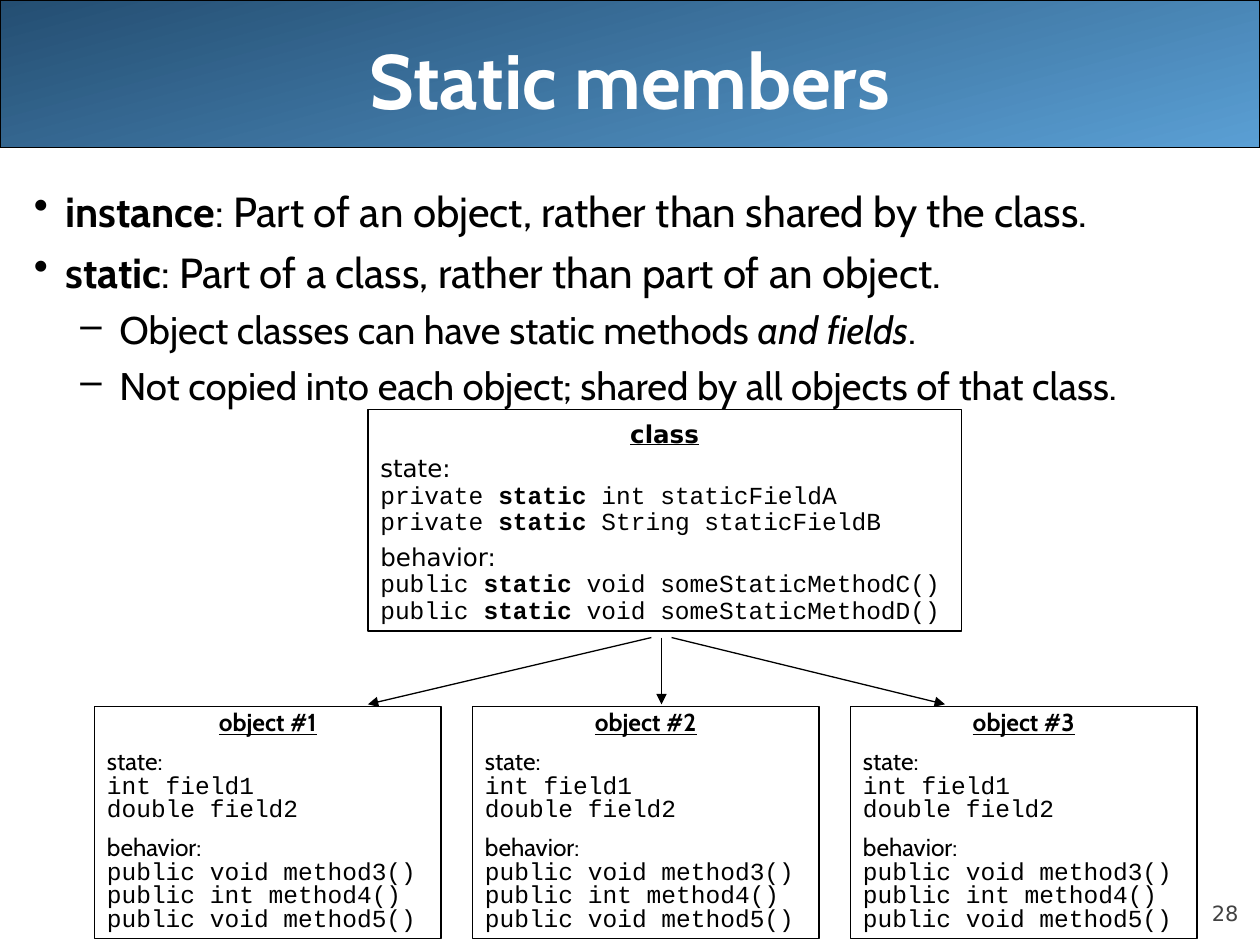
from lxml import etree
from pptx import Presentation
from pptx.dml.color import RGBColor
from pptx.enum.shapes import MSO_CONNECTOR, MSO_SHAPE
from pptx.enum.text import MSO_ANCHOR, MSO_AUTO_SIZE, PP_ALIGN
from pptx.oxml.ns import qn
from pptx.util import Inches, Pt

BLACK = RGBColor(0x00, 0x00, 0x00)
WHITE = RGBColor(0xFF, 0xFF, 0xFF)
GRAY = RGBColor(0x42, 0x42, 0x42)
LIGHT_BLUE = RGBColor(0x5A, 0x9F, 0xD4)
DARK_BLUE = RGBColor(0x24, 0x4E, 0x72)
STRAIGHT = MSO_CONNECTOR.STRAIGHT
RECTANGLE = MSO_SHAPE.RECTANGLE
ROUNDED_RECTANGLE = MSO_SHAPE.ROUNDED_RECTANGLE
MIDDLE, BOTTOM, TOP = MSO_ANCHOR.MIDDLE, MSO_ANCHOR.BOTTOM, MSO_ANCHOR.TOP
FIT_SHAPE = MSO_AUTO_SIZE.SHAPE_TO_FIT_TEXT
LEFT, CENTER, RIGHT = PP_ALIGN.LEFT, PP_ALIGN.CENTER, PP_ALIGN.RIGHT

BOLD = {"bold": True}
ITALIC = {"italic": True}
HEADING = {"bold": True, "underline": True}
CODE = {"name": "Courier New"}
BOLD_CODE = CODE | BOLD


def add_paragraph(frame, runs, font, layout):
    paragraph = frame.paragraphs[0]
    if paragraph.runs:
        paragraph = frame.add_paragraph()
    for name, value in layout.items():
        setattr(paragraph, name, value)
    for text, changes in runs:
        for index, line in enumerate(text.split("\n")):
            if index:
                paragraph.add_line_break()
            if not line:
                continue
            run = paragraph.add_run()
            run.text = line
            run.font.color.rgb = font["color"]
            for name, value in (font | changes).items():
                if name != "color":
                    setattr(run.font, name, value)
    return paragraph


def add_box(left, top, width, height):
    shape = slide.shapes.add_shape(
        RECTANGLE, Inches(left), Inches(top), Inches(width), Inches(height)
    )
    shape.shadow.inherit = False
    shape.fill.solid()
    shape.fill.fore_color.rgb = WHITE
    shape.line.color.rgb = BLACK
    shape.line.width = Pt(0.75)
    frame = shape.text_frame
    frame.word_wrap = True
    frame.auto_size = FIT_SHAPE
    frame.vertical_anchor = TOP
    return frame


presentation = Presentation()
presentation.slide_width = Inches(10)
presentation.slide_height = Inches(7.5)
slide = presentation.slides.add_slide(presentation.slide_layouts[6])

banner = slide.shapes.add_shape(ROUNDED_RECTANGLE, 0, 0, Inches(10), Inches(1.17))
banner.adjustments[0] = 0
banner.shadow.inherit = False
banner.fill.gradient()
banner.fill.gradient_angle = 105
for stop, color in zip(banner.fill.gradient_stops, (LIGHT_BLUE, DARK_BLUE)):
    stop.color.rgb = color
banner.line.color.rgb = BLACK
banner.line.width = Pt(0.75)

number_box = slide.shapes.add_textbox(Inches(9), Inches(6.95), Inches(0.83), Inches(0.4))
number_frame = number_box.text_frame
number_format = {
    "word_wrap": True, "vertical_anchor": BOTTOM,
    "margin_left": 0, "margin_top": 0, "margin_right": 0, "margin_bottom": 0,
}
for name, value in number_format.items():
    setattr(number_frame, name, value)
number_font = {"name": "DejaVu Sans", "size": Pt(12), "color": GRAY}
add_paragraph(number_frame, [("28", {})], number_font, {"alignment": RIGHT})

title_box = slide.shapes.add_textbox(Inches(0.5), 0, Inches(9), Inches(1.25))
title_box.text_frame.word_wrap = True
title_box.text_frame.vertical_anchor = MIDDLE
title_font = {"name": "Cabin", "size": Pt(44), "color": WHITE}
add_paragraph(title_box.text_frame, [("Static members", BOLD)], title_font, {"alignment": CENTER})

body_box = slide.shapes.add_textbox(Inches(0.17), Inches(1.42), Inches(9.83), Inches(5.67))
body_box.text_frame.word_wrap = True
levels = [
    {"bullet": "•", "size": 24, "before": 6, "margin": 0.25, "indent": -0.25},
    {"bullet": "–", "size": 22, "before": 5.5, "margin": 0.68, "indent": -0.31},
]
bullets = [
    (0, [("instance", BOLD), (": Part of an object, rather than shared by the class.", {})]),
    (0, [("static", BOLD), (": Part of a class, rather than part of an object.", {})]),
    (1, [("Object classes can have static methods ", {}), ("and fields", ITALIC), (".", {})]),
    (1, [("Not copied into each object; shared by all objects of that class.", {})]),
]
for level, runs in bullets:
    style = levels[level]
    body_font = {"name": "Cabin", "size": Pt(style["size"]), "color": BLACK}
    layout = {"level": level, "space_before": Pt(style["before"])}
    paragraph = add_paragraph(body_box.text_frame, runs, body_font, layout)
    properties = paragraph._p.get_or_add_pPr()
    properties.set("marL", str(Inches(style["margin"])))
    properties.set("indent", str(Inches(style["indent"])))
    etree.SubElement(properties, qn("a:buChar")).set("char", style["bullet"])

class_frame = add_box(2.92, 3.25, 4.71, 1.76)
class_font = {"name": "DejaVu Sans", "size": Pt(14), "color": BLACK}
add_paragraph(class_frame, [("class", HEADING)], class_font,
              {"alignment": CENTER, "line_spacing": 1.1})
class_sections = [
    ("state:\n", "private ", [" int staticFieldA\n", " String staticFieldB"]),
    ("behavior:\n", "public ", [" void someStaticMethodC()\n", " void someStaticMethodD()"]),
]
for label, access, members in class_sections:
    runs = [(label, {})]
    for member in members:
        runs += [(access, CODE), ("static", BOLD_CODE), (member, CODE)]
    add_paragraph(class_frame, runs, class_font,
                  {"alignment": LEFT, "line_spacing": 0.9, "space_before": Pt(5)})

for start, end in [(5.17, 2.92), (5.25, 5.25), (5.33, 7.5)]:
    arrow = slide.shapes.add_connector(
        STRAIGHT, Inches(start), Inches(5.06), Inches(end), Inches(5.59)
    )
    arrow.line.color.rgb = BLACK
    arrow.line.width = Pt(0.75)
    etree.SubElement(arrow.line._get_or_add_ln(), qn("a:tailEnd")).set("type", "triangle")
    etree.SubElement(arrow._element.spPr, qn("a:effectLst"))

object_font = {"name": "Cabin", "size": Pt(14), "color": BLACK}
object_sections = [
    ("state:\n", "int field1\ndouble field2"),
    ("behavior:\n", "public void method3()\npublic int method4()\npublic void method5()"),
]
object_layout = {"line_spacing": 0.8, "space_before": Pt(8.8)}
for index in range(3):
    object_frame = add_box(0.75 + 3 * index, 5.61, 2.75, 1.84)
    add_paragraph(object_frame, [(f"object #{index + 1}", HEADING)], object_font,
                  object_layout | {"alignment": CENTER})
    for label, members in object_sections:
        add_paragraph(object_frame, [(label, {}), (members, CODE)], object_font,
                      object_layout | {"alignment": LEFT})

presentation.save("out.pptx")
